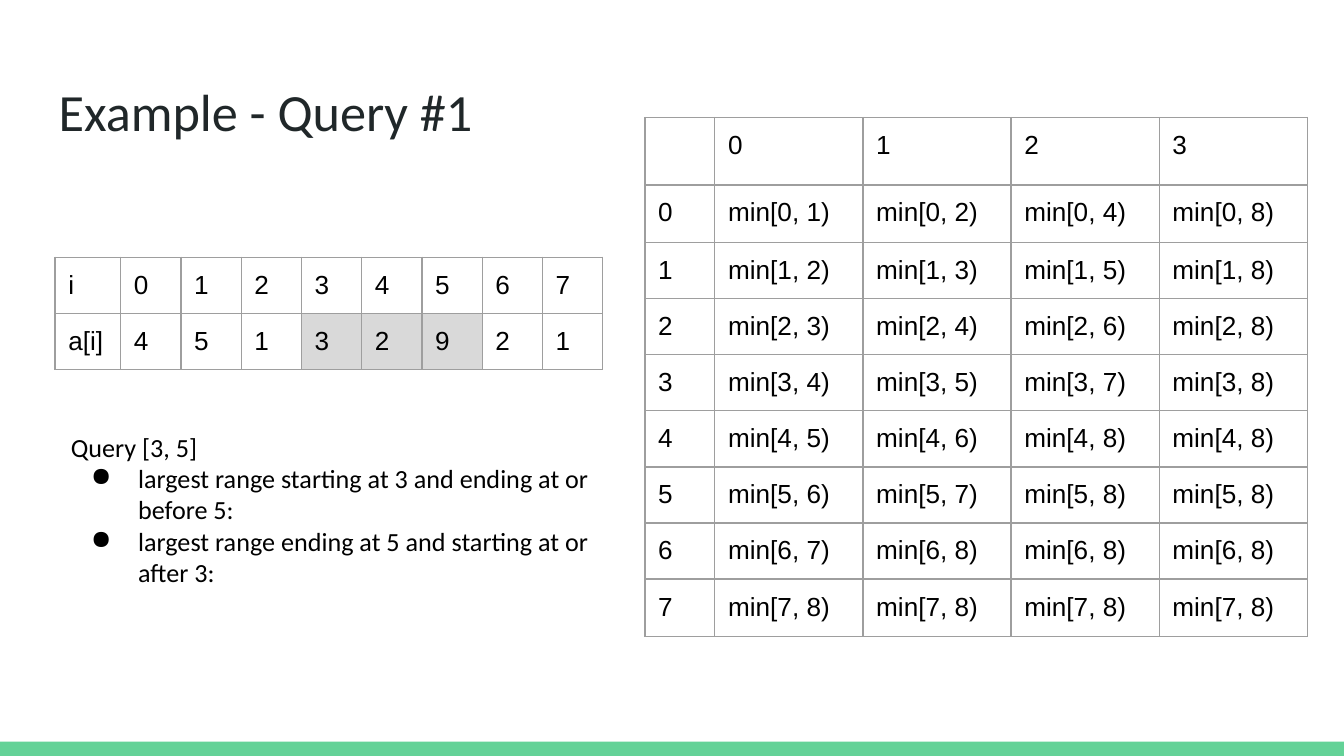
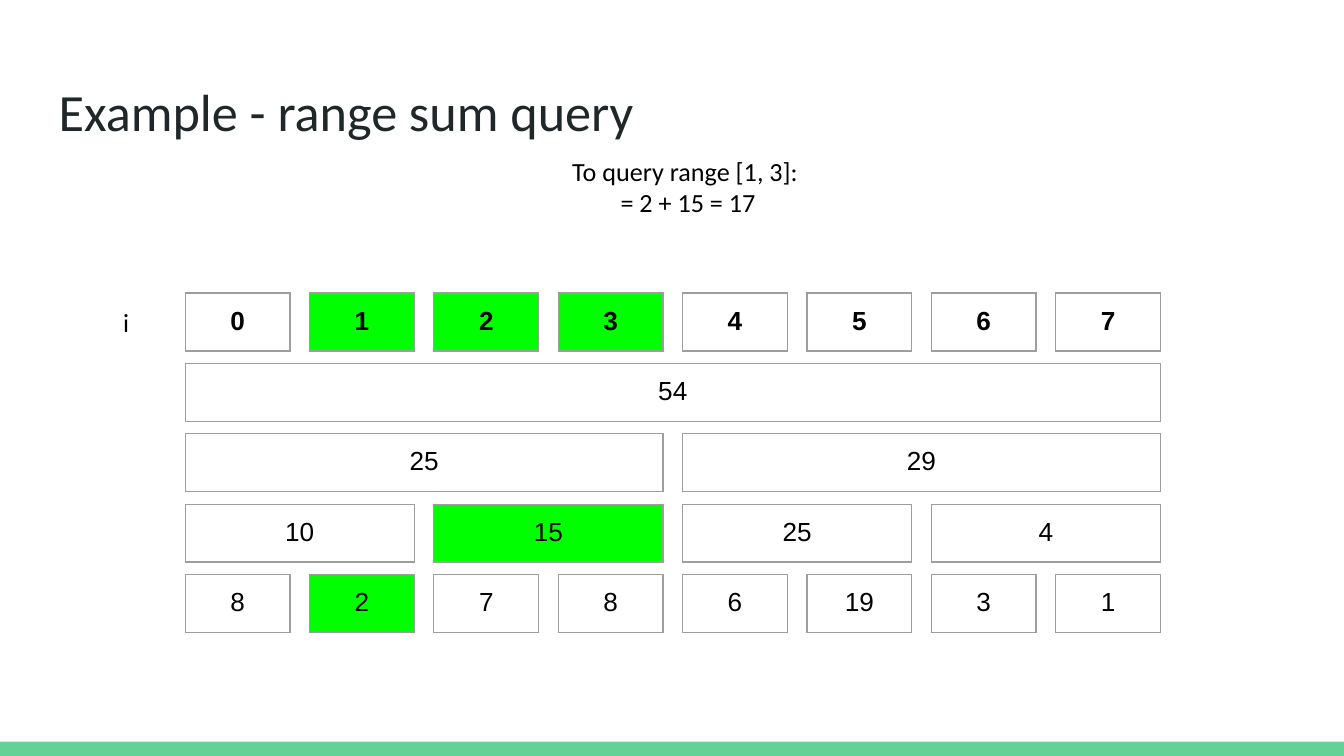
from lxml import etree
from pptx import Presentation
from pptx.dml.color import RGBColor
from pptx.enum.shapes import MSO_SHAPE
from pptx.enum.text import MSO_ANCHOR, MSO_AUTO_SIZE, PP_ALIGN
from pptx.oxml.ns import qn
from pptx.util import Cm, Pt

COLORS = {
    "band": "63D297",
    "title": "202729",
    "text": "000000",
    "border": "9E9E9E",
    "queried": "D9D9D9",
    "hit": "00FF00",
}
HEADING_FONT, TABLE_FONT = "Calibri", "Arial"
SLIDE_W, SLIDE_H, BAND_H = 25.4, 14.29, 0.27
INSET = 0.25
CELL_H = 1.06


def rgb(name):
    return RGBColor.from_string(COLORS[name])


def add_run(p, text, font=HEADING_FONT, size=14, color="text", bold=False):
    r = p.add_run()
    r.text = text
    r.font.name = font
    r.font.size = Pt(size)
    r.font.bold = bold
    r.font.color.rgb = rgb(color)


def set_insets(target):
    """Give a text frame or a table cell the same margin on all sides."""
    target.margin_left = target.margin_right = Cm(INSET)
    target.margin_top = target.margin_bottom = Cm(INSET)


def set_bullet(p):
    pPr = p._p.get_or_add_pPr()
    pPr.set("marL", str(Cm(1.27)))
    pPr.set("indent", str(-Cm(0.89)))
    etree.SubElement(pPr, qn("a:buChar")).set("char", "●")


def new_slide(prs, title):
    s = prs.slides.add_slide(prs.slide_layouts[5])
    band = s.shapes.add_shape(MSO_SHAPE.RECTANGLE, Cm(0), Cm(SLIDE_H - BAND_H),
                              Cm(SLIDE_W), Cm(BAND_H))
    band.shadow.inherit = False
    band.fill.solid()
    band.fill.fore_color.rgb = rgb("band")
    band.line.fill.background()

    sp = s.shapes.title
    sp.left, sp.top, sp.width, sp.height = Cm(0.86), Cm(1.24), Cm(23.67), Cm(1.6)
    tf = sp.text_frame
    set_insets(tf)
    tf.auto_size = MSO_AUTO_SIZE.NONE
    tf.vertical_anchor = MSO_ANCHOR.TOP
    p = tf.paragraphs[0]
    p.alignment = PP_ALIGN.LEFT
    add_run(p, title, size=28, color="title")
    return s


def add_text(s, left, top, width, height, lines, align=PP_ALIGN.LEFT, bullets=()):
    """Write one paragraph per line, then the bulleted ones."""
    tf = s.shapes.add_textbox(Cm(left), Cm(top), Cm(width), Cm(height)).text_frame
    tf.word_wrap = True
    set_insets(tf)
    for n, line in enumerate([*lines, *bullets]):
        p = tf.add_paragraph() if n else tf.paragraphs[0]
        p.alignment = align
        if n >= len(lines):
            set_bullet(p)
        add_run(p, line)


def set_borders(cell):
    tcPr = cell._tc.get_or_add_tcPr()
    for side in ("lnL", "lnR", "lnT", "lnB"):
        ln = etree.SubElement(tcPr, qn(f"a:{side}"), w=str(Pt(0.75)))
        fill = etree.SubElement(ln, qn("a:solidFill"))
        etree.SubElement(fill, qn("a:srgbClr"), val=COLORS["border"])


def add_grid(s, left, top, col_widths, row_heights, rows, fills=None,
             align=PP_ALIGN.LEFT, bold=False):
    """Add a bordered table; fills maps (row, column) to a colour name."""
    fills = fills or {}
    table = s.shapes.add_table(len(rows), len(col_widths), Cm(left), Cm(top),
                               Cm(sum(col_widths)), Cm(sum(row_heights))).table
    table.first_row = table.horz_banding = False
    for col, width in zip(table.columns, col_widths):
        col.width = Cm(width)
    for row, height in zip(table.rows, row_heights):
        row.height = Cm(height)
    for i, values in enumerate(rows):
        for j, value in enumerate(values):
            cell = table.cell(i, j)
            set_insets(cell)
            set_borders(cell)
            if (i, j) in fills:
                cell.fill.solid()
                cell.fill.fore_color.rgb = rgb(fills[i, j])
            else:
                cell.fill.background()
            p = cell.text_frame.paragraphs[0]
            p.alignment = align
            if value != "":
                add_run(p, str(value), font=TABLE_FONT, bold=bold)


def add_sparse_table(s, left, top, size=8, levels=4):
    """Cell (i, j) covers 2**j items from i, cut off at the array's end."""
    rows = [["", *range(levels)]]
    for i in range(size):
        rows.append([i] + [f"min[{i}, {min(i + 2 ** j, size)})" for j in range(levels)])
    heights = [1.23, 1.09] + [CELL_H] * (size - 2) + [1.09]
    add_grid(s, left, top, [1.32] + [2.8] * levels, heights, rows)


def add_array(s, left, top, values, first, last):
    """Show an array with the items from first to last shaded."""
    rows = [["i", *range(len(values))], ["a[i]", *values]]
    fills = {(1, i + 1): "queried" for i in range(first, last + 1)}
    add_grid(s, left, top, [1.24] + [1.14] * len(values), [CELL_H] * 2, rows, fills)


def add_segment_tree(s, left, top, levels):
    """Stack levels of (values, highlighted positions); the first is the index."""
    leaf_w, gap, row_step = 1.98, 0.37, 1.33
    leaves = len(levels[0][0])
    for depth, (values, hits) in enumerate(levels):
        step = (leaf_w + gap) * leaves / len(values)
        height = CELL_H if len(values) == leaves else 1.09
        for n, value in enumerate(values):
            add_grid(s, left + n * step, top + depth * row_step, [step - gap], [height],
                     [[value]], {(0, 0): "hit"} if n in hits else None,
                     align=PP_ALIGN.CENTER, bold=depth == 0)


def build_min_query(prs):
    s = new_slide(prs, "Example - Query #1")
    add_sparse_table(s, 12.19, 2.22)
    add_array(s, 1.04, 4.86, [4, 5, 1, 3, 2, 9, 2, 1], first=3, last=5)
    add_text(s, 1.09, 7.9, 10.34, 1.65, ["Query [3, 5]"], bullets=[
        "largest range starting at 3 and ending at or before 5:",
        "largest range ending at 5 and starting at or after 3:",
    ])


def build_sum_query(prs):
    s = new_slide(prs, "Example - range sum query")
    add_text(s, 5.84, 2.69, 14.22, 1.65, ["To query range [1, 3]:", " = 2 + 15 = 17"],
             align=PP_ALIGN.CENTER)
    tree_top = 5.54
    add_text(s, 2.08, tree_top, 0.74, 1.09, ["i"])
    add_segment_tree(s, 3.5, tree_top, [
        (range(8), {1, 2, 3}),
        ([54], set()),
        ([25, 29], set()),
        ([10, 15, 25, 4], {1}),
        ([8, 2, 7, 8, 6, 19, 3, 1], {1}),
    ])


def main():
    prs = Presentation()
    prs.slide_width, prs.slide_height = Cm(SLIDE_W), Cm(SLIDE_H)
    build_min_query(prs)
    build_sum_query(prs)
    prs.save("out.pptx")


if __name__ == "__main__":
    main()
